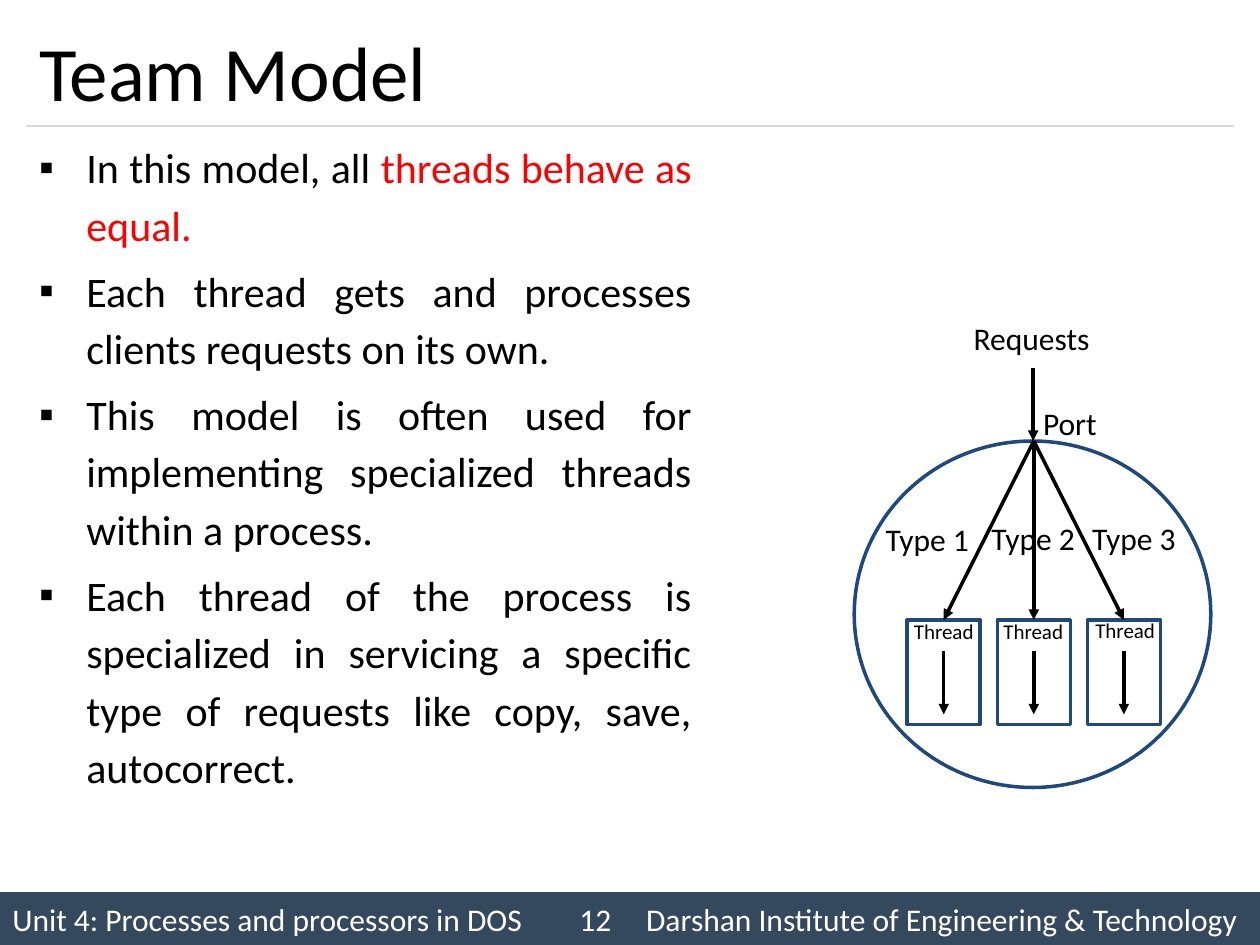
from lxml import etree
from pptx import Presentation
from pptx import util as u
from pptx.dml import color as dml
from pptx.enum import shapes, text
from pptx.oxml import ns

BLACK, WHITE, RED, NAVY = "000000", "FFFFFF", "FF0000", "1F497D"
color = dml.RGBColor.from_string

presentation = Presentation()
presentation.slide_width, presentation.slide_height = u.Inches(10), u.Inches(7.5)
slide = presentation.slides.add_slide(presentation.slide_layouts[1])
title, body = slide.placeholders


def grid(*cells):
    """Lengths on a grid of 100 columns by 75 rows of square cells."""
    return [u.Emu(round(cell * presentation.slide_width / 100)) for cell in cells]


def write(paragraph, words, size, hex_color=BLACK):
    run = paragraph.add_run()
    run.text = words
    for name, value in {"name": "Calibri", "size": u.Pt(size)}.items():
        setattr(run.font, name, value)
    run.font.color.rgb = color(hex_color)


# Title and bulleted list
placeholder_formats = [
    (title, (2.1, 1.2, 95.8, 8.8), text.MSO_ANCHOR.MIDDLE),
    (body, (2.1, 10.2, 53.8, 58.3), text.MSO_ANCHOR.TOP),
]
for placeholder, box, anchor in placeholder_formats:
    for name, value in zip(("left", "top", "width", "height"), grid(*box)):
        setattr(placeholder, name, value)
    frame_format = {"vertical_anchor": anchor, "auto_size": text.MSO_AUTO_SIZE.NONE, "word_wrap": True}
    for name, value in frame_format.items():
        setattr(placeholder.text_frame, name, value)

heading = title.text_frame.paragraphs[0]
heading.alignment = text.PP_ALIGN.LEFT
write(heading, "Team Model", 44)

bullets = [
    [("In this model, all ", BLACK), ("threads behave as equal.", RED)],
    [("Each thread gets and processes clients requests on its own.", BLACK)],
    [("This model is often used for implementing specialized threads within a process.", BLACK)],
    [("Each thread of the process is specialized in servicing a specific type of "
      "requests like copy, save, autocorrect.", BLACK)],
]
for index, runs in enumerate(bullets):
    paragraph = body.text_frame.add_paragraph() if index else body.text_frame.paragraphs[0]
    paragraph_format = {
        "alignment": text.PP_ALIGN.JUSTIFY,
        "line_spacing": 1.14,
        "space_before": u.Pt(4.8 if index else 0),
    }
    for name, value in paragraph_format.items():
        setattr(paragraph, name, value)
    properties = paragraph._p.get_or_add_pPr()
    indent, = grid(3.75)
    properties.set("marL", str(indent))
    properties.set("indent", str(-indent))
    etree.SubElement(properties, ns.qn("a:buFont"), typeface="Arial")
    etree.SubElement(properties, ns.qn("a:buChar"), char="▪")
    for words, hex_color in runs:
        write(paragraph, words, 24, hex_color)

# Footer bar, process circle and its three thread boxes
thread_centers = [74.9, 82.05, 89.2]
thread_top, thread_width, thread_height = 49.2, 5.8, 8.3
rectangle, ellipse = shapes.MSO_SHAPE.RECTANGLE, shapes.MSO_SHAPE.OVAL
outlines = [
    (rectangle, (0, 70.8, 100, 4.2), "34495E", None),
    (ellipse, (67.8, 35, 28.3, 27.5), WHITE, NAVY),
]
for center in thread_centers:
    box = (center - thread_width / 2, thread_top, thread_width, thread_height)
    outlines.append((rectangle, box, WHITE, NAVY))
drawn = []
for kind, box, fill, line in outlines:
    shape = slide.shapes.add_shape(kind, *grid(*box))
    shape.shadow.inherit = False
    shape.fill.solid()
    shape.fill.fore_color.rgb = color(fill)
    if line:
        shape.line.color.rgb = color(line)
        shape.line.width = u.Pt(2)
    else:
        shape.line.fill.background()
    drawn.append(shape)

footer = drawn[0].text_frame.paragraphs[0]
footer.alignment = text.PP_ALIGN.LEFT
tab_list = etree.SubElement(footer._p.get_or_add_pPr(), ns.qn("a:tabLst"))
for position in grid(45, 50.3):
    etree.SubElement(tab_list, ns.qn("a:tab"), pos=str(position), algn="l")
write(footer, "Unit 4: Processes and processors in DOS\t12\t"
      "Darshan Institute of Engineering & Technology", 18, WHITE)

# Title rule and arrows
port = (82.05, 35)
lines = [((2.1, 10, 97.9, 10), "D9D9D9", 0.75, False),
         ((82, 29.2, 82, 35), BLACK, 2, True)]
for center in thread_centers:
    lines.append(((*port, center, thread_top), BLACK, 2, True))
    lines.append(((center, 51.7, center, 56.7), BLACK, 2, True))
for ends, hex_color, width, has_head in lines:
    connector = slide.shapes.add_connector(shapes.MSO_CONNECTOR.STRAIGHT, *grid(*ends))
    connector.line.color.rgb = color(hex_color)
    connector.line.width = u.Pt(width)
    if has_head:
        etree.SubElement(connector.line._get_or_add_ln(), ns.qn("a:tailEnd"), type="triangle")
    etree.SubElement(connector._element.spPr, ns.qn("a:effectLst"))

# Diagram labels
labels = [
    ("Port", (81.8, 31.6, 6.3, 4), 18),
    ("Requests", (76.3, 24.8, 11.3, 4), 18),
    ("Type 1", (69.3, 40.8, 8.7, 4), 18),
    ("Type 2", (77.7, 40.7, 8.7, 4), 18),
    ("Type 3", (85.7, 40.7, 8.7, 4), 18),
    ("Thread", (71.3, 48.6, 7.2, 3), 12),
    ("Thread", (78.4, 48.6, 7.2, 3), 12),
    ("Thread", (85.7, 48.5, 7.2, 3), 12),
]
for words, box, size in labels:
    label = slide.shapes.add_textbox(*grid(*box))
    label.text_frame.word_wrap = size == 12
    paragraph = label.text_frame.paragraphs[0]
    paragraph.alignment = text.PP_ALIGN.CENTER if size == 12 else text.PP_ALIGN.LEFT
    write(paragraph, words, size)

presentation.save("out.pptx")
